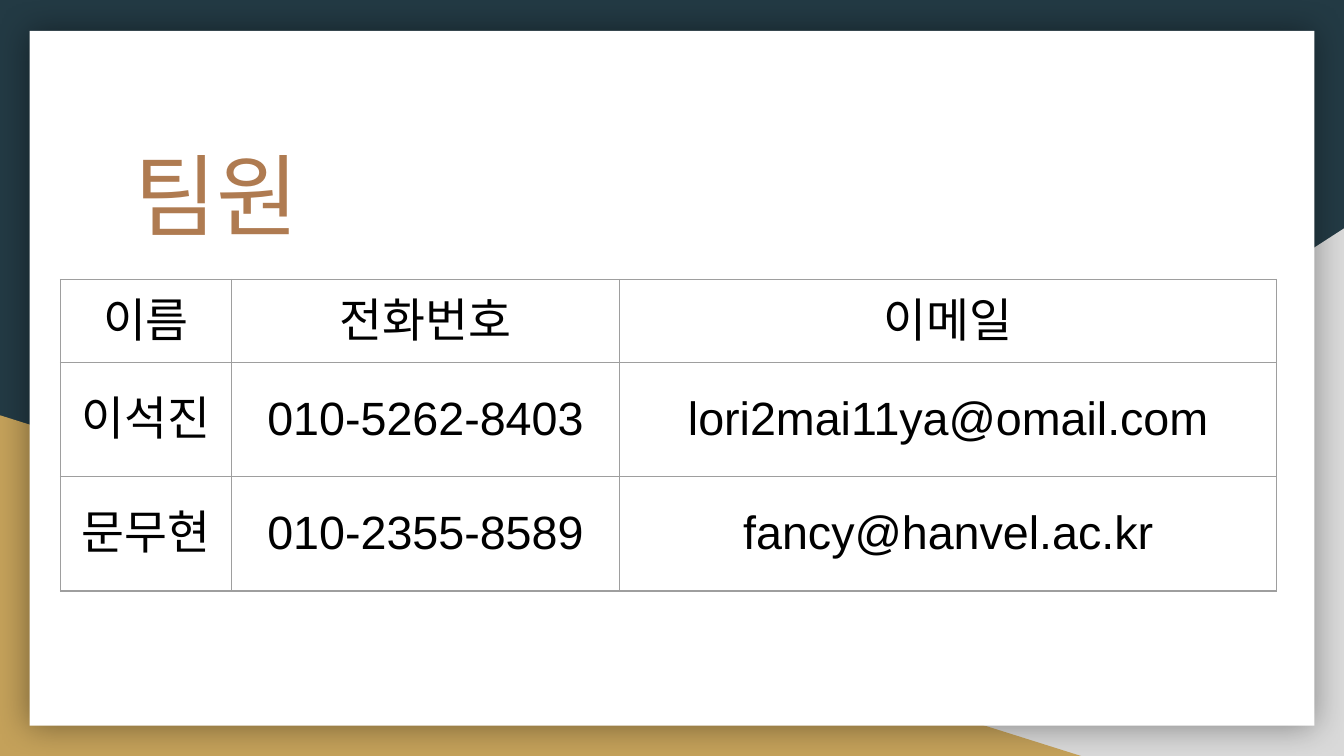
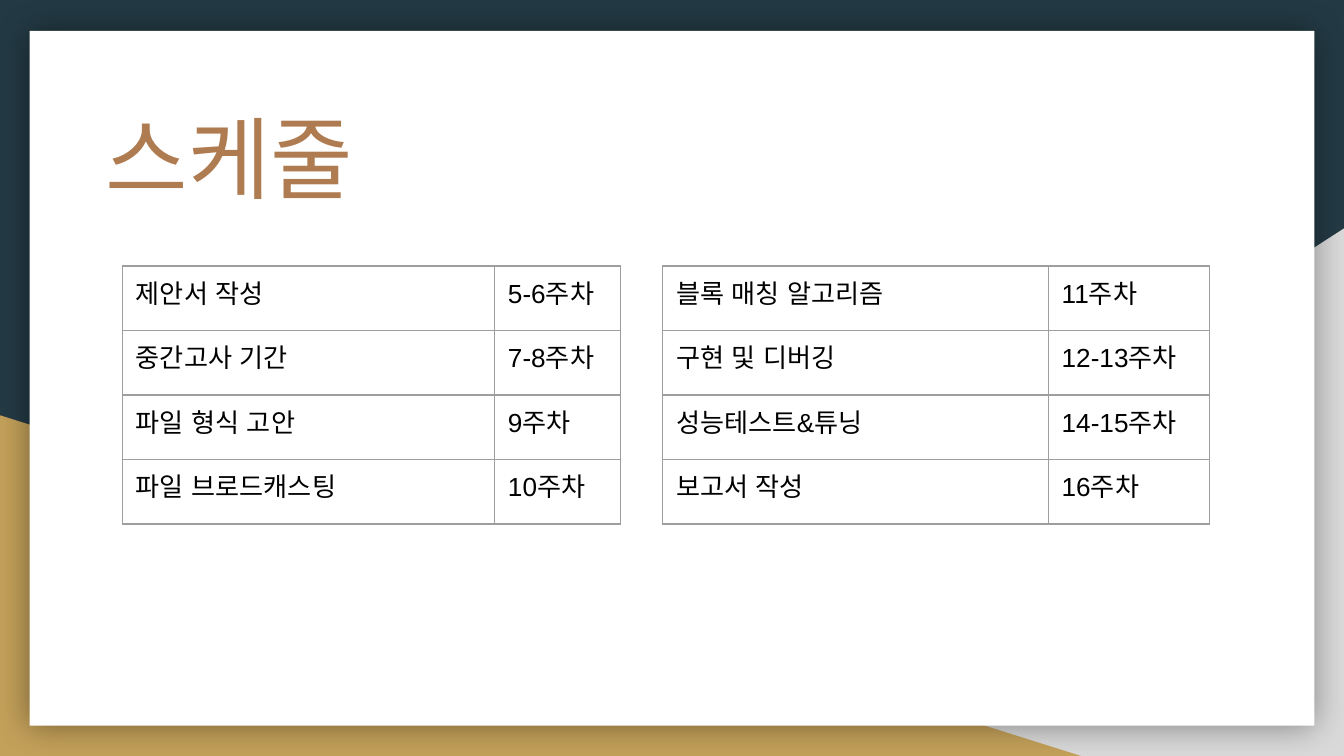
from pptx import Presentation
from pptx.dml.color import RGBColor
from pptx.enum.shapes import MSO_SHAPE as Preset
from pptx.enum.text import MSO_ANCHOR as Anchor, PP_ALIGN as Align
from pptx.oxml import parse_xml
from pptx.oxml.ns import nsdecls
from pptx.util import Inches, Pt

COLORS = {
    "navy": "233A44", "grey": "D9D9D9", "gold": "C4A15A", "white": "FFFFFF",
    "title": "AF7B51", "ink": "000000", "border": "9E9E9E",
}
TITLE_FONT, BODY_FONT = "Quicksand", "Arial"


class Deck:
    """Holds the style and the current page."""

    def __init__(self):
        self.file = Presentation()
        self.file.slide_width, self.file.slide_height = Inches(10), Inches(5.625)
        self.page = None

    def rgb(self, name):
        return RGBColor.from_string(COLORS[name])

    def shape(self, preset, place, color):
        shape = self.page.shapes.add_shape(preset, *map(Inches, place))
        shape.shadow.inherit = False
        shape.fill.solid()
        shape.fill.fore_color.rgb = self.rgb(color)
        shape.line.fill.background()
        return shape

    def add_page(self):
        """Start a page with the coloured corners and the white card."""
        self.page = self.file.slides.add_slide(self.file.slide_layouts[6])
        fill = self.page.background.fill
        fill.solid()
        fill.fore_color.rgb = self.rgb("navy")

        right_corner = self.shape(Preset.RIGHT_TRIANGLE, (3.92, 1.7, 6.08, 3.93), "grey")
        right_corner._element.spPr.xfrm.set("flipH", "1")
        self.shape(Preset.RIGHT_TRIANGLE, (0, 3.09, 8.06, 2.54), "gold")
        card = self.shape(Preset.RECTANGLE, (0.22, 0.23, 9.56, 5.17), "white")
        self.glow_shadow(card)

    def glow_shadow(self, shape):
        effects = shape._element.spPr.find("{*}effectLst")
        effects.append(parse_xml(
            f'<a:outerShdw {nsdecls("a")} blurRad="{Pt(18)}" dist="0" dir="0" '
            'algn="ctr" rotWithShape="0"><a:srgbClr val="000000">'
            '<a:alpha val="40000"/></a:srgbClr></a:outerShdw>'))

    def add_span(self, para, text, size, font, color):
        span = para.add_run()
        span.text = text
        span.font.size = Pt(size)
        span.font.name = font
        span.font.color.rgb = self.rgb(color)
        span.font._element.append(
            parse_xml(f'<a:ea {nsdecls("a")} typeface="{font}"/>'))

    def title(self, text, place):
        frame = self.page.shapes.add_textbox(*map(Inches, place)).text_frame
        frame.word_wrap = True
        frame.vertical_anchor = Anchor.MIDDLE
        frame.margin_left = frame.margin_right = Inches(0.1)
        frame.margin_top = frame.margin_bottom = Inches(0.1)
        self.add_span(frame.paragraphs[0], text, 48, TITLE_FONT, "title")

    def table(self, left, top, widths, heights, rows, size, centered=False):
        table = self.page.shapes.add_table(
            len(rows), len(widths), Inches(left), Inches(top),
            Inches(sum(widths)), Inches(sum(heights))).table
        table.first_row = table.horz_banding = False
        for column, width in zip(table.columns, widths):
            column.width = Inches(width)
        for row, height, texts in zip(table.rows, heights, rows):
            row.height = Inches(height)
            for cell, text in zip(row.cells, texts):
                self.cell(cell, text, size, centered)

    def cell(self, cell, text, size, centered):
        cell.margin_left = cell.margin_right = Inches(0.1)
        cell.margin_top = cell.margin_bottom = Inches(0.1)
        cell.vertical_anchor = Anchor.MIDDLE if centered else Anchor.TOP
        para = cell.text_frame.paragraphs[0]
        para.alignment = Align.CENTER if centered else Align.LEFT
        self.add_span(para, text, size, BODY_FONT, "ink")
        # Borders come before the fill in the cell properties
        cell_props = cell._tc.get_or_add_tcPr()
        for side in ("lnL", "lnR", "lnT", "lnB"):
            cell_props.append(parse_xml(
                f'<a:{side} {nsdecls("a")} w="{Pt(0.75)}"><a:solidFill>'
                f'<a:srgbClr val="{COLORS["border"]}"/></a:solidFill></a:{side}>'))
        cell.fill.background()


def build_team(deck):
    deck.add_page()
    deck.title("팀원", (0.9, 0.92, 8.21, 1.04))
    members = [
        ("이름", "전화번호", "이메일"),
        ("이석진", "010-5262-8403", "lori2mai11ya@omail.com"),
        ("문무현", "010-2355-8589", "fancy@hanvel.ac.kr"),
    ]
    deck.table(0.45, 2.08, (1.27, 2.89, 4.89), (0.55, 0.85, 0.85),
               members, 25, centered=True)


def build_schedule(deck):
    deck.add_page()
    deck.title("스케줄", (0.69, 0.66, 8.21, 1.01))
    first_half = [
        ("제안서 작성", "5-6주차"),
        ("중간고사 기간", "7-8주차"),
        ("파일 형식 고안", "9주차"),
        ("파일 브로드캐스팅", "10주차"),
    ]
    second_half = [
        ("블록 매칭 알고리즘", "11주차"),
        ("구현 및 디버깅", "12-13주차"),
        ("성능테스트&튜닝", "14-15주차"),
        ("보고서 작성", "16주차"),
    ]
    for left, widths, weeks in ((0.91, (2.77, 0.94), first_half),
                                (4.93, (2.87, 1.2), second_half)):
        deck.table(left, 1.98, widths, [0.48] * len(weeks), weeks, 14)


def main():
    deck = Deck()
    build_team(deck)
    build_schedule(deck)
    deck.file.save("out.pptx")


if __name__ == "__main__":
    main()
